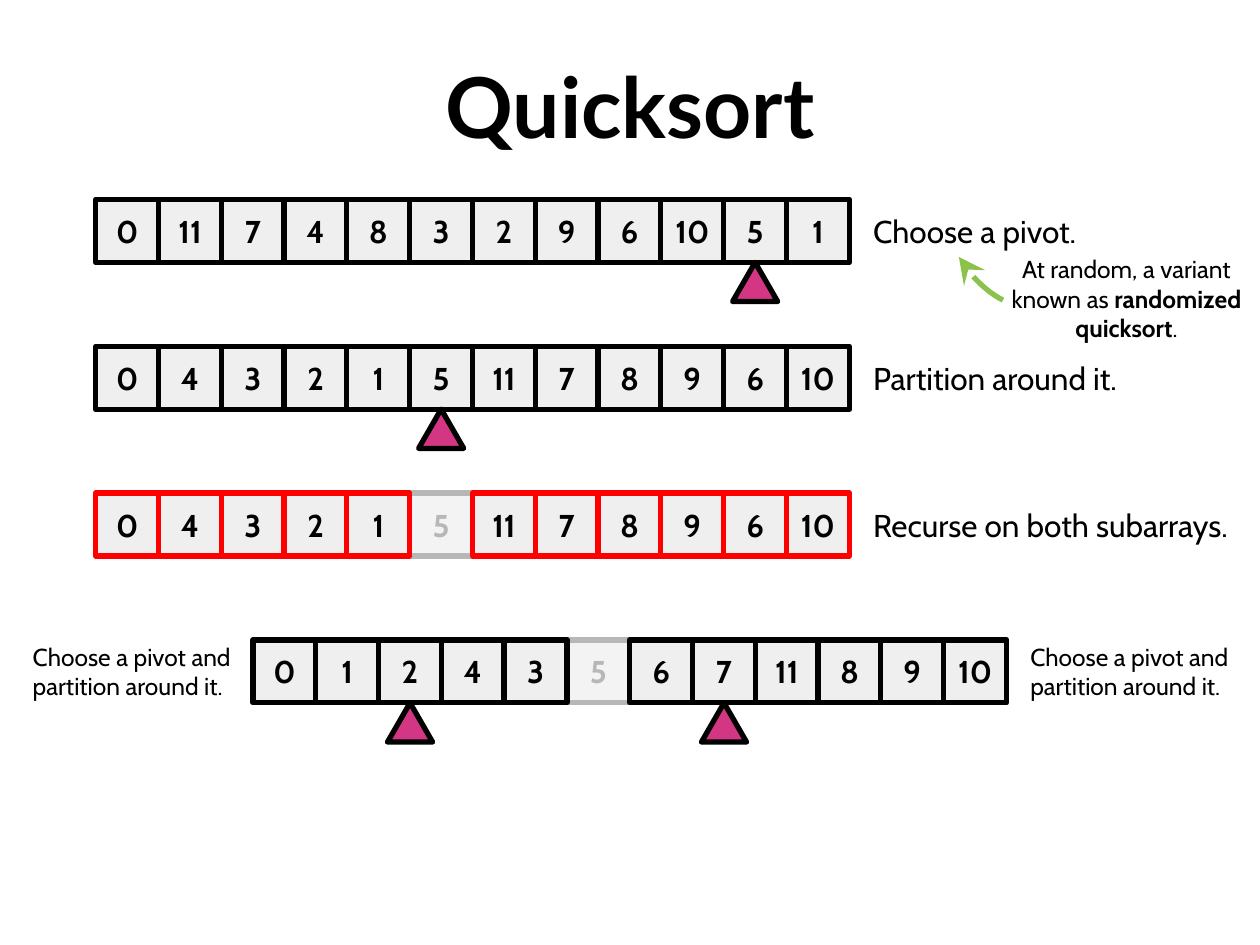
from dataclasses import dataclass

from lxml import etree
from pptx import Presentation
from pptx import util as u
from pptx.dml.color import RGBColor
from pptx.enum import shapes, text
from pptx.oxml import ns

BLACK, RED, PALE = "000000", "FF0000", "B7B7B7"
PINK, GREEN = "D33682", "8BC34A"
CELL = 1.27
STEP = 15.19 / 12  # cells overlap by a hair
TOP, GAP = 4.02, 2.96
LEFT = text.PP_ALIGN.LEFT
MID = text.PP_ALIGN.CENTER


@dataclass
class Row:
    left: float
    nums: list[int]
    pivots: tuple[int, ...] = ()
    done: int | None = None
    edge: str = BLACK


@dataclass
class Note:
    left: float
    top: float
    width: float
    height: float
    runs: list[tuple[str, bool]]
    size: int = 18
    align: int = LEFT
    anchor: int = text.MSO_ANCHOR.MIDDLE


def tint(color, code: str) -> None:
    color.rgb = RGBColor.from_string(code)


def add_run(par, words: str, size: int, bold: bool, code: str = BLACK,
            face: str = "Cabin") -> None:
    run = par.add_run()
    run.text = words
    run.font.name, run.font.size, run.font.bold = face, u.Pt(size), bold
    tint(run.font.color, code)


def set_frame(frame, anchor: int, wrap: bool = True) -> None:
    """Give a text frame its insets, anchor and wrapping."""
    frame.margin_left = frame.margin_right = u.Cm(0.25)
    frame.margin_top = frame.margin_bottom = u.Cm(0.25)
    frame.vertical_anchor, frame.word_wrap = anchor, wrap
    frame.auto_size = text.MSO_AUTO_SIZE.NONE


def add_form(slide, kind: int, box: tuple[float, ...], fill: str, edge: str):
    """Add a filled preset shape with a thick, round-joined outline."""
    form = slide.shapes.add_shape(kind, *map(u.Cm, box))
    form.shadow.inherit = False
    form.fill.solid()
    tint(form.fill.fore_color, fill)
    form.line.width = u.Pt(3)
    tint(form.line.color, edge)
    etree.SubElement(form.line._get_or_add_ln(), ns.qn("a:round"))
    return form


def add_row(slide, row: Row, top: float) -> None:
    # The settled cell goes first, so that its neighbours cover its sides.
    order = sorted(range(len(row.nums)), key=lambda i: i != row.done)
    for i in order:
        fill, edge, ink = "EFEFEF", row.edge, BLACK
        if i == row.done:
            fill, edge, ink = "F3F3F3", PALE, PALE
        box = (row.left + i * STEP, top, CELL, CELL)
        cell = add_form(slide, shapes.MSO_SHAPE.RECTANGLE, box, fill, edge)
        set_frame(cell.text_frame, text.MSO_ANCHOR.MIDDLE, wrap=False)
        par = cell.text_frame.paragraphs[0]
        par.alignment = MID
        add_run(par, str(row.nums[i]), 18, True, ink)
    wide, high = 0.91, 0.79
    for i in row.pivots:
        left = row.left + i * STEP + (CELL - wide) / 2
        add_form(slide, shapes.MSO_SHAPE.ISOSCELES_TRIANGLE,
                 (left, top + CELL, wide, high), PINK, BLACK)


def add_note(slide, note: Note) -> None:
    box = (note.left, note.top, note.width, note.height)
    frame = slide.shapes.add_textbox(*map(u.Cm, box)).text_frame
    set_frame(frame, note.anchor)
    par = frame.paragraphs[0]
    par.alignment = note.align
    for words, bold in note.runs:
        add_run(par, words, note.size, bold)


def add_curve(slide, knots: list[tuple[float, float]]) -> None:
    """Draw a cubic curve through its four control points, with an arrowhead."""
    count = 12
    dots = []
    for k in range(count + 1):
        t = k / count
        parts = ((1 - t) ** 3, 3 * t * (1 - t) ** 2, 3 * t * t * (1 - t), t ** 3)
        dots.append(tuple(u.Cm(sum(p * knot[axis] for p, knot in zip(parts, knots)))
                          for axis in (0, 1)))
    path = slide.shapes.build_freeform(*dots[0])
    path.add_line_segments(dots[1:], close=False)
    curve = path.convert_to_shape()
    curve.shadow.inherit = False
    curve.fill.background()
    curve.line.width = u.Pt(3)
    tint(curve.line.color, GREEN)
    etree.SubElement(curve.line._get_or_add_ln(), ns.qn("a:tailEnd"),
                     type="stealth", w="lg", len="lg")


def add_title(slide, words: str) -> None:
    title = slide.shapes.title
    title.left, title.top = u.Cm(0), u.Cm(0.84)
    title.width, title.height = u.Cm(25.4), u.Cm(3.18)
    set_frame(title.text_frame, text.MSO_ANCHOR.TOP)
    par = title.text_frame.paragraphs[0]
    par.alignment = MID
    add_run(par, words, 48, True, face="Lato")


def main() -> None:
    deck = Presentation()
    deck.slide_width, deck.slide_height = u.Cm(25.4), u.Cm(19.05)
    slide = deck.slides.add_slide(deck.slide_layouts[5])
    add_title(slide, "Quicksort")

    split = [0, 4, 3, 2, 1, 5, 11, 7, 8, 9, 6, 10]
    rows = [
        Row(1.93, [0, 11, 7, 4, 8, 3, 2, 9, 6, 10, 5, 1], pivots=(10,)),
        Row(1.93, split, pivots=(5,)),
        Row(1.93, split, done=5, edge=RED),
        Row(5.1, [0, 1, 2, 4, 3, 5, 6, 7, 11, 8, 9, 10], pivots=(2, 7), done=5),
    ]
    tops = [TOP + i * GAP for i in range(len(rows))]
    for row, top in zip(rows, tops):
        add_row(slide, row, top)

    steps = ["Choose a pivot.", "Partition around it.", "Recurse on both subarrays."]
    for words, top in zip(steps, tops):
        add_note(slide, Note(17.35, top, 8.05, CELL, [(words, False)]))
    for left in (0.41, 20.52):
        add_note(slide, Note(left, tops[-1], 4.52, CELL, size=14, runs=[
            ("Choose a pivot and partition around it.", False)]))

    add_curve(slide, [(20.22, 6.05), (19.9, 5.9), (19.5, 5.5), (19.33, 5.18)])
    add_note(slide, Note(
        20.02, 4.88, 5.38, 2.26, size=14, align=MID, anchor=text.MSO_ANCHOR.TOP,
        runs=[("At random, a variant known as ", False),
              ("randomized quicksort", True), (".", False)]))
    deck.save("out.pptx")


if __name__ == "__main__":
    main()
